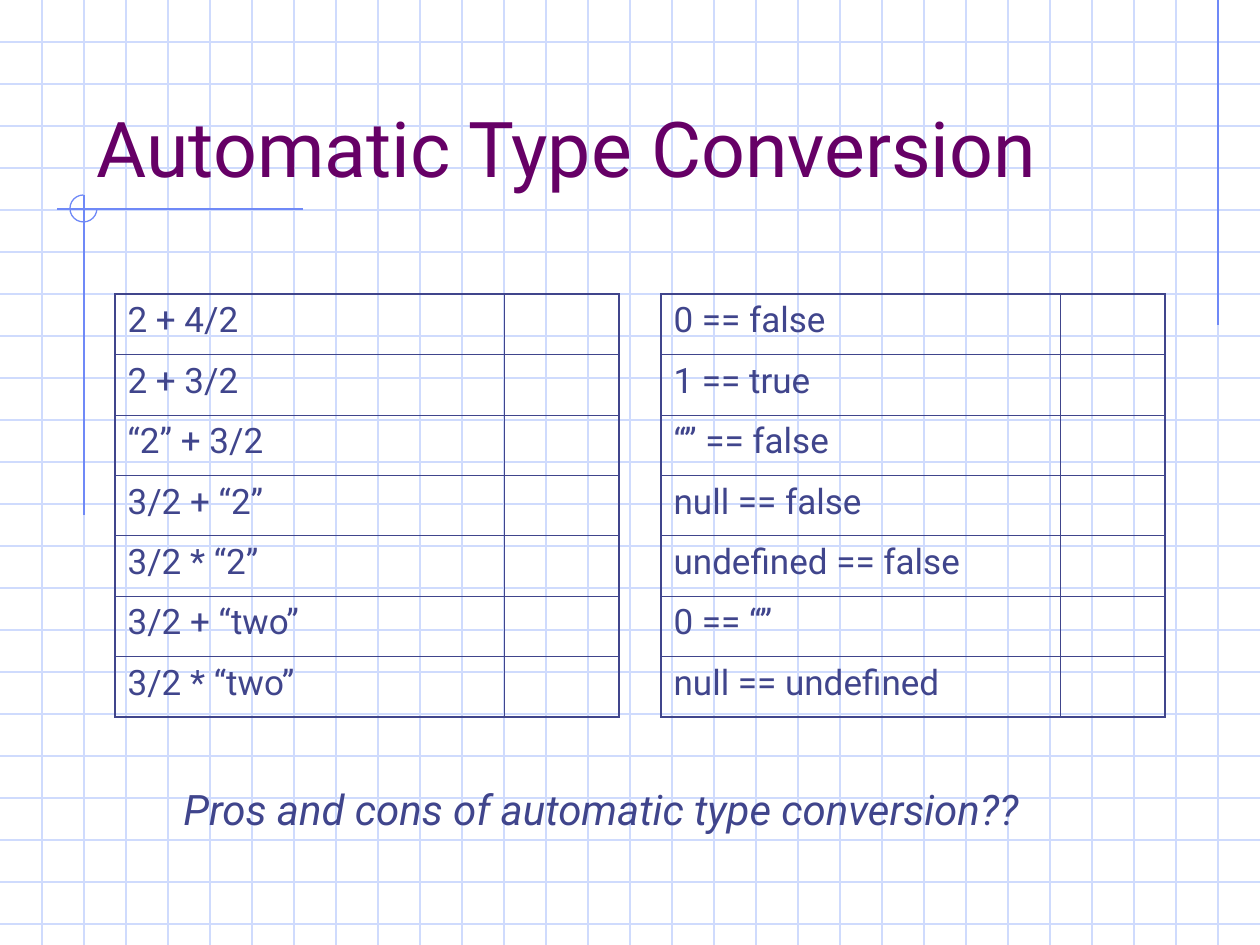
from dataclasses import dataclass

from lxml import etree
from pptx import Presentation
from pptx.dml.color import RGBColor
from pptx.enum.shapes import MSO_CONNECTOR, MSO_SHAPE
from pptx.enum.text import MSO_ANCHOR, MSO_AUTO_SIZE, PP_ALIGN
from pptx.oxml.ns import qn
from pptx.util import Emu, Pt

STRAIGHT = MSO_CONNECTOR.STRAIGHT
ARC = MSO_SHAPE.ARC
BOTTOM = MSO_ANCHOR.BOTTOM
LEFT = PP_ALIGN.LEFT
NO_AUTOFIT = MSO_AUTO_SIZE.NONE
GROW = MSO_AUTO_SIZE.SHAPE_TO_FIT_TEXT

EMU_PER_PX = 914400 / 126
WIDTH, HEIGHT, GRID_STEP = 1260, 945, 42
FONT = "Roboto"
GRID_COLOUR = "CFDBFD"
ACCENT_COLOUR = "6F89F7"
TITLE_COLOUR = "660066"
TEXT_COLOUR = "40458C"
LINE_WIDTH = 0.75
INNER_BORDER, OUTER_BORDER = 0.45, 1.08


@dataclass
class Line:
    x1: int
    y1: int
    x2: int
    y2: int
    colour: str


@dataclass
class ExpressionTable:
    left: int
    columns: tuple[int, int]
    expressions: tuple[str, ...]
    top: int = 294
    height: int = 423


GRID_LINES = [
    Line(0, y, WIDTH, y, GRID_COLOUR) for y in range(GRID_STEP, HEIGHT, GRID_STEP)
] + [
    Line(x, 0, x, HEIGHT, GRID_COLOUR) for x in range(GRID_STEP, WIDTH, GRID_STEP)
]
ACCENT_LINES = [
    Line(1218, 0, 1218, 325, ACCENT_COLOUR),
    Line(303, 209, 57, 209, ACCENT_COLOUR),
    Line(84, 195, 84, 515, ACCENT_COLOUR),
]
TABLES = [
    ExpressionTable(115, (389, 115), (
        "2 + 4/2",
        "2 + 3/2",
        "“2” + 3/2",
        "3/2 + “2”",
        "3/2 * “2”",
        "3/2 + “two”",
        "3/2 * “two”",
    )),
    ExpressionTable(661, (399, 105), (
        "0 == false",
        "1 == true",
        "“” == false",
        "null == false",
        "undefined == false",
        "0 == “”",
        "null == undefined",
    )),
]


def px(length: int) -> Emu:
    return Emu(round(length * EMU_PER_PX))


def rgb(colour: str) -> RGBColor:
    return RGBColor.from_string(colour)


def write_text(frame, text: str, *, size: int, colour: str = TEXT_COLOUR,
               italic: bool = False) -> None:
    para = frame.paragraphs[0]
    para.alignment = LEFT
    span = para.add_run()
    span.text = text
    span.font.name = FONT
    span.font.size = Pt(size)
    span.font.bold = False
    span.font.italic = italic
    span.font.color.rgb = rgb(colour)


def draw_line(page, line: Line) -> None:
    connector = page.shapes.add_connector(
        STRAIGHT, px(line.x1), px(line.y1), px(line.x2), px(line.y2))
    connector.line.color.rgb = rgb(line.colour)
    connector.line.width = Pt(LINE_WIDTH)
    etree.SubElement(connector._element.spPr, qn("a:effectLst"))


def draw_arc(page) -> None:
    arc = page.shapes.add_shape(ARC, px(70), px(195), px(27), px(27))
    arc.adjustments[0] = 0
    arc.adjustments[1] = 162
    arc.shadow.inherit = False
    arc.fill.background()
    arc.line.color.rgb = rgb(ACCENT_COLOUR)
    arc.line.width = Pt(LINE_WIDTH)


def set_borders(cell, outer_sides: dict[str, bool]) -> None:
    properties = cell._tc.get_or_add_tcPr()
    for position, (side, is_outer) in enumerate(outer_sides.items()):
        width = OUTER_BORDER if is_outer else INNER_BORDER
        border = etree.Element(qn(f"a:ln{side}"), w=str(Pt(width)))
        fill = etree.SubElement(border, qn("a:solidFill"))
        etree.SubElement(fill, qn("a:srgbClr"), val=TEXT_COLOUR)
        properties.insert(position, border)


def draw_table(page, content: ExpressionTable) -> None:
    row_count, column_count = len(content.expressions), len(content.columns)
    table = page.shapes.add_table(
        row_count, column_count, px(content.left), px(content.top),
        px(sum(content.columns)), px(content.height)).table
    table.first_row = False
    table.horz_banding = False
    for column, width in zip(table.columns, content.columns):
        column.width = px(width)
    for row_index, expression in enumerate(content.expressions):
        write_text(table.cell(row_index, 0).text_frame, expression, size=20)
        for column_index in range(column_count):
            cell = table.cell(row_index, column_index)
            cell.fill.background()
            set_borders(cell, {
                "L": column_index == 0,
                "R": column_index == column_count - 1,
                "T": row_index == 0,
                "B": row_index == row_count - 1,
            })


def place_title(page) -> None:
    title = page.shapes.title
    title.left, title.top, title.width, title.height = px(84), px(42), px(1071), px(157)
    frame = title.text_frame
    frame.word_wrap = True
    frame.auto_size = NO_AUTOFIT
    frame.vertical_anchor = BOTTOM
    write_text(frame, "Automatic Type Conversion", size=44, colour=TITLE_COLOUR)
    page.shapes._spTree.append(title._element)


def place_question(page) -> None:
    box = page.shapes.add_textbox(px(171), px(777), px(873), px(63))
    box.text_frame.word_wrap = False
    box.text_frame.auto_size = GROW
    write_text(box.text_frame, "Pros and cons of automatic type conversion??",
               size=24, italic=True)


def main() -> None:
    deck = Presentation()
    deck.slide_width, deck.slide_height = px(WIDTH), px(HEIGHT)
    page = deck.slides.add_slide(deck.slide_layouts[5])
    page.background.fill.solid()
    page.background.fill.fore_color.rgb = rgb("FFFFFF")
    for line in GRID_LINES + ACCENT_LINES:
        draw_line(page, line)
    draw_arc(page)
    place_title(page)
    for content in TABLES:
        draw_table(page, content)
    place_question(page)
    deck.save("out.pptx")


if __name__ == "__main__":
    main()
